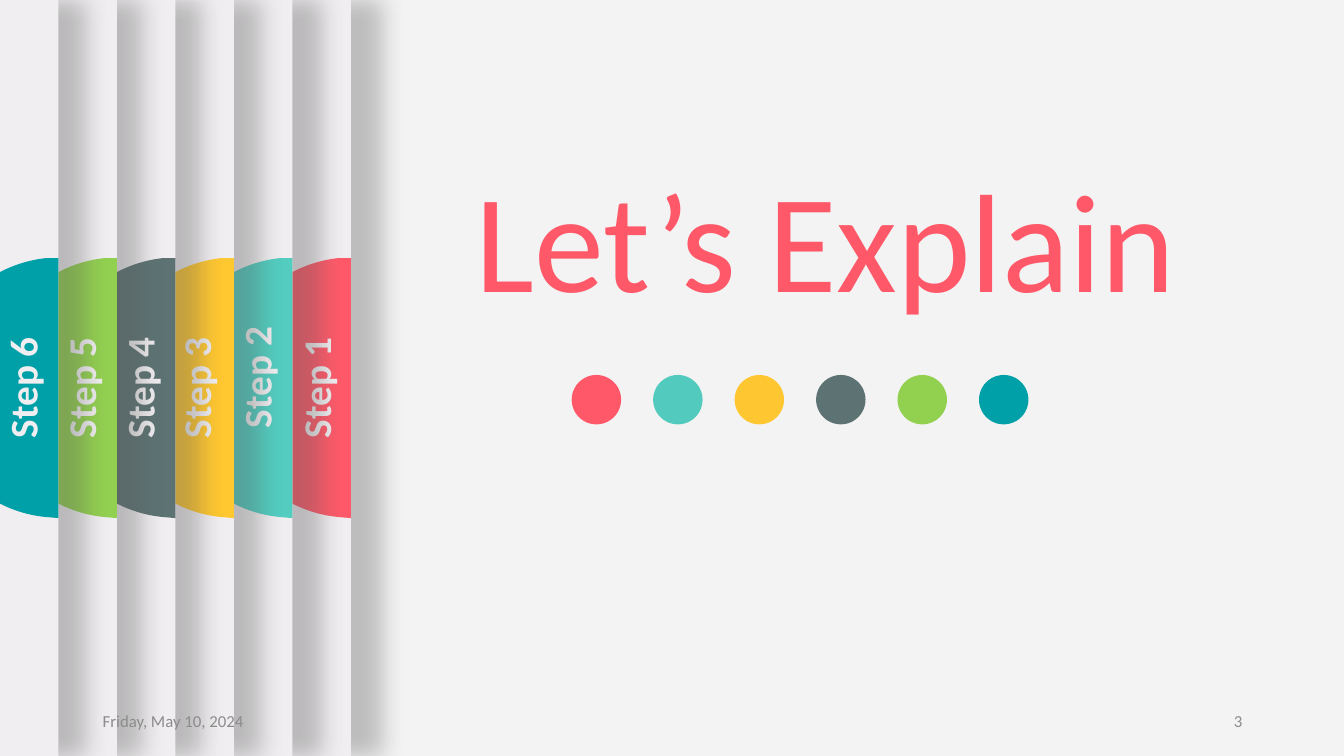
from lxml.etree import SubElement
from pptx import Presentation
from pptx.dml.color import RGBColor as RGB
from pptx.enum.shapes import MSO_SHAPE as Shape
from pptx.enum.text import MSO_ANCHOR as Anchor, PP_ALIGN as Align
from pptx.oxml.ns import qn
from pptx.util import Inches, Pt

BACK = RGB(0xF3, 0xF3, 0xF3)
PALE = RGB(0xF0, 0xEE, 0xF0)
GREY = RGB(0x8C, 0x8C, 0x8C)
CORAL = RGB(0xFF, 0x59, 0x69)
MINT = RGB(0x52, 0xCD, 0xC0)
AQUA = RGB(0x52, 0xCB, 0xBE)
GOLD = RGB(0xFF, 0xC7, 0x30)
AMBER = RGB(0xFE, 0xC6, 0x30)
SLATE = RGB(0x5D, 0x73, 0x73)
GREEN = RGB(0x92, 0xD0, 0x50)
TEAL = RGB(0x00, 0xA0, 0xA8)

# Content
TITLE = "Let’s Explain"
DATE = "Friday, May 10, 2024"
NUMBER = "3"
STEPS = [  # label, tab colour, panel left, label left, label top
    ("Step 1", CORAL, -10.17, 2.04, 3.56),
    ("Step 2", MINT, -9.62, 1.45, 3.46),
    ("Step 3", GOLD, -8.58, 0.85, 3.56),
    ("Step 4", SLATE, -8.73, 0.29, 3.56),
    ("Step 5", GREEN, -8.35, -0.29, 3.56),
    ("Step 6", TEAL, -10.27, -0.87, 3.56),
]
DOTS = [CORAL, AQUA, AMBER, SLATE, GREEN, TEAL]

# Layout in inches
WIDTH, HEIGHT = 13.33, 7.5
STRIP = 0.58
TAB_W, TAB_TOP = 1.28, 2.56
LABEL_W, LABEL_H = 2.18, 0.57
DOT, DOT_Y, FIRST_X, LAST_X = 0.49, 3.72, 5.67, 9.71

# Tab outline, measured from its top left corner
CORNERS = [(1.28, 0), (1.28, 2.58), (1.16, 2.57), (0, 1.29), (1.16, 0)]
CURVES = [[(0.51, 2.51), (0, 1.96), (0, 1.29)],
          [(0, 0.62), (0.51, 0.07), (1.16, 0)]]


def put_text(box, text, size=12, color=GREY, bold=False,
             align=Align.LEFT, anchor=Anchor.TOP):
    frame = box.text_frame
    frame.word_wrap = True
    frame.vertical_anchor = anchor
    para = frame.paragraphs[0]
    para.alignment = align
    run = para.add_run()
    run.text = text
    font = run.font
    font.name, font.size, font.bold = "Calibri", Pt(size), bold
    font.color.rgb = color


def paint(shape, color):
    shape.shadow.inherit = False
    shape.fill.solid()
    shape.fill.fore_color.rgb = color
    shape.line.fill.background()


def cast(shape):
    effects = shape._element.spPr.find(qn("a:effectLst"))
    outer = SubElement(effects, qn("a:outerShdw"), blurRad=str(Pt(17)),
                       dist=str(Pt(3)), dir="0", sx="102000", algn="l",
                       rotWithShape="0")
    color = SubElement(outer, qn("a:srgbClr"), val="595959")
    SubElement(color, qn("a:alpha"), val="35000")


def add_tab(shapes, right, color):
    left = right - TAB_W
    spots = [(Inches(left + x), Inches(TAB_TOP + y)) for x, y in CORNERS]
    outline = shapes.build_freeform(*spots[0])
    outline.add_line_segments(spots[1:], close=True)
    tab = outline.convert_to_shape()
    paint(tab, color)
    # Bend the last two sides
    sides = list(tab._element.iter(qn("a:lnTo")))[-2:]
    for side, curve in zip(sides, CURVES):
        side.tag = qn("a:cubicBezTo")
        side.clear()
        for x, y in curve:
            SubElement(side, qn("a:pt"), x=str(Inches(x)), y=str(Inches(y)))


def main():
    deck = Presentation()
    deck.slide_width, deck.slide_height = Inches(WIDTH), Inches(HEIGHT)
    slide = deck.slides.add_slide(deck.slide_layouts[5])
    slide.background.fill.solid()
    slide.background.fill.fore_color.rgb = BACK

    # Title
    title = slide.shapes.title
    title.left, title.top = Inches(3.05), Inches(1.46)
    title.width, title.height = Inches(10.28), Inches(1.78)
    put_text(title, TITLE, size=100, color=CORAL, align=Align.CENTER)

    # Row of dots
    row = slide.shapes.add_group_shape().shapes
    pitch = (LAST_X - FIRST_X) / (len(DOTS) - 1)
    for i, color in enumerate(DOTS):
        dot = row.add_shape(Shape.OVAL, Inches(FIRST_X + i * pitch),
                            Inches(DOT_Y), Inches(DOT), Inches(DOT))
        paint(dot, color)

    # Stacked panels, each with a half-round tab and an upright label
    for i, (name, color, left, label_x, label_y) in enumerate(STEPS):
        right = STRIP * (len(STEPS) - i)
        group = slide.shapes.add_group_shape().shapes
        panel = group.add_shape(Shape.RECTANGLE, Inches(left), 0,
                                Inches(right - left), Inches(HEIGHT))
        paint(panel, PALE)
        cast(panel)
        add_tab(group, right, color)
        label = group.add_textbox(Inches(label_x), Inches(label_y),
                                  Inches(LABEL_W), Inches(LABEL_H))
        label.rotation = 270
        put_text(label, name, size=28, color=PALE, bold=True,
                 align=Align.CENTER)

    # Footer
    for text, left, align in ((DATE, 0.92, Align.LEFT),
                              (NUMBER, 9.42, Align.RIGHT)):
        box = slide.shapes.add_textbox(Inches(left), Inches(6.95),
                                       Inches(3), Inches(0.4))
        put_text(box, text, align=align, anchor=Anchor.MIDDLE)

    deck.save("out.pptx")


if __name__ == "__main__":
    main()
